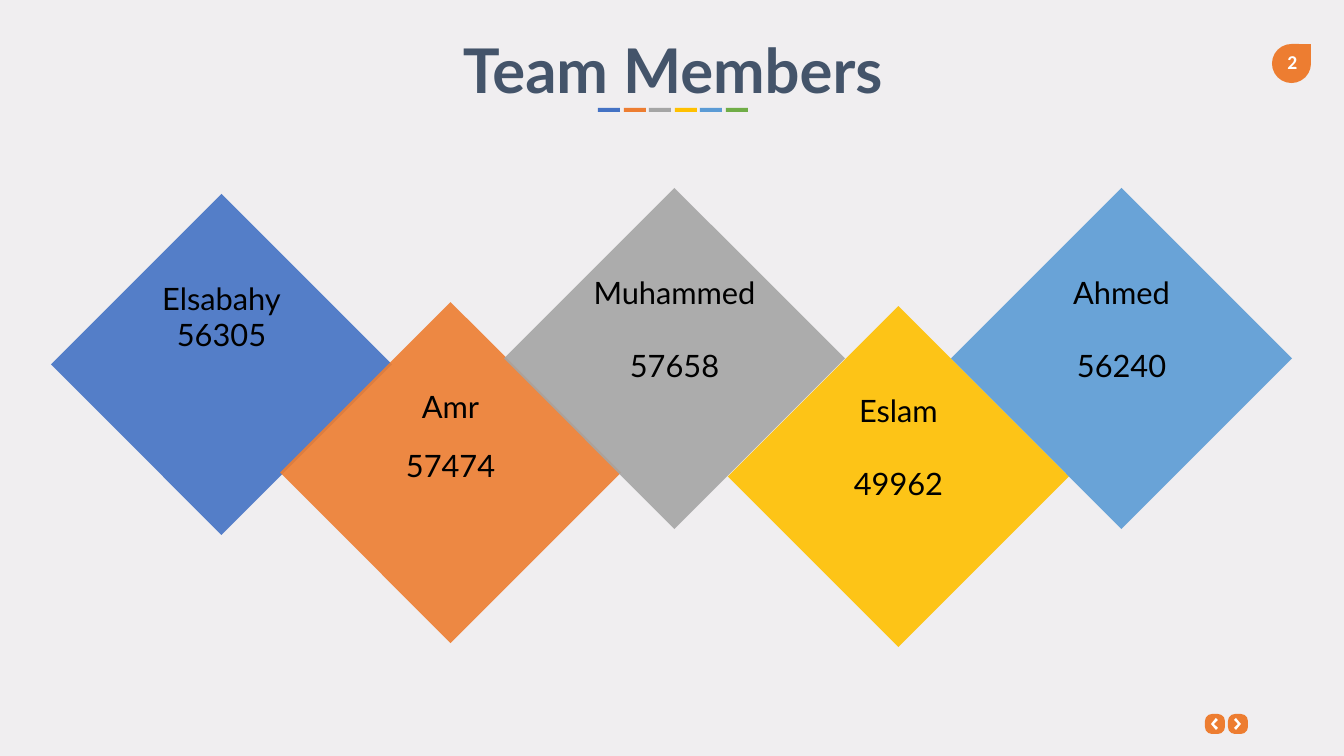
from lxml import etree
from pptx import Presentation
from pptx.dml.color import RGBColor
from pptx.enum.shapes import MSO_SHAPE
from pptx.enum.text import MSO_ANCHOR, MSO_AUTO_SIZE, PP_ALIGN
from pptx.oxml.ns import qn
from pptx.util import Pt

DIAMOND = MSO_SHAPE.DIAMOND
RECTANGLE = MSO_SHAPE.RECTANGLE
ROUNDED = MSO_SHAPE.ROUNDED_RECTANGLE
TEARDROP = MSO_SHAPE.TEAR
TOP = MSO_ANCHOR.TOP
CENTER = PP_ALIGN.CENTER
NO_AUTOFIT = MSO_AUTO_SIZE.NONE

PAGE_WIDTH, PAGE_HEIGHT = 1344, 756
SCALE = 12192000 / PAGE_WIDTH
TITLE_ONLY = 5

BACKGROUND = RGBColor(0xF0, 0xEE, 0xF0)
SLATE = RGBColor(0x44, 0x54, 0x6A)
BLACK = RGBColor(0x00, 0x00, 0x00)
WHITE = RGBColor(0xFF, 0xFF, 0xFF)
BLUE = RGBColor(0x44, 0x72, 0xC4)
ORANGE = RGBColor(0xED, 0x7D, 0x31)
GRAY = RGBColor(0xA5, 0xA5, 0xA5)
YELLOW = RGBColor(0xFF, 0xC0, 0x00)
SKY = RGBColor(0x5B, 0x9B, 0xD5)
GREEN = RGBColor(0x70, 0xAD, 0x47)
ACCENTS = [BLUE, ORANGE, GRAY, YELLOW, SKY, GREEN]

DIAMOND_SIZE = 341
MEMBERS = [
    ("Elsabahy", "56305", 51, 194, 0),
    ("Amr", "57474", 280, 302, 16),
    ("Muhammed", "57658", 504, 188, 26.4),
    ("Eslam", "49962", 728, 306, 26.4),
    ("Ahmed", "56240", 951, 188, 26.4),
]
CHEVRON_WIDTH = 7
CHEVRON = [(0, 6), (5, 0), (7, 2), (3, 6), (7, 10), (5, 12)]


def px(length):
    """Turn px into EMU."""
    return round(length * SCALE)


def paint(shape, color):
    """Give a shape a flat fill with no outline or shadow."""
    shape.shadow.inherit = False
    shape.fill.solid()
    shape.fill.fore_color.rgb = color
    shape.line.fill.background()


def add_flat(page, kind, box, color):
    """Add a flat preset shape in a px box."""
    shape = page.shapes.add_shape(kind, *map(px, box))
    paint(shape, color)
    return shape


def write(frame, lines, *, font, size, color, bold=False, gap=0, inset=(0, 0), wrap=True):
    """Write centred lines into a text frame, gap points apart."""
    frame.auto_size = NO_AUTOFIT
    frame.word_wrap = wrap
    frame.vertical_anchor = TOP
    frame.margin_left = frame.margin_right = px(inset[0])
    frame.margin_top = frame.margin_bottom = px(inset[1])
    for index, line in enumerate(lines):
        para = frame.add_paragraph() if index else frame.paragraphs[0]
        para.alignment = CENTER
        para.line_spacing = 1.0
        para.space_before = Pt(gap if index else 0)
        span = para.add_run()
        span.text = line
        span.font.name = font
        span.font.size = Pt(size)
        span.font.bold = bold
        span.font.color.rgb = color


def add_heading(page, left, top, width, height):
    """Place the title and the row of coloured dashes under it."""
    title = page.shapes.title
    title.left, title.top, title.width, title.height = map(px, (left, top, width, height))
    write(title.text_frame, ["Team Members"], font="Lato", size=44, color=SLATE,
          bold=True, inset=(10, 5))
    dash_width, dash_span = 22, 128
    start = left + (width - dash_span - dash_width) // 2
    for index, color in enumerate(ACCENTS):
        offset = round(index * dash_span / (len(ACCENTS) - 1))
        add_flat(page, RECTANGLE, (start + offset, top + 81, dash_width, 4), color)


def add_page_number(page, left, top, size):
    """Draw the teardrop badge with the page number."""
    add_flat(page, TEARDROP, (left, top, size, size), ORANGE)
    label = page.shapes.add_textbox(*map(px, (left - 1, top + 1, size + 4, size - 5)))
    write(label.text_frame, ["2"], font="Calibri", size=14, color=WHITE,
          bold=True, inset=(10, 5), wrap=False)


def add_navigation(page, left, top, size):
    """Draw the back and forward buttons."""
    for index in range(2):
        button_left = left + index * (size + 3)
        button = add_flat(page, ROUNDED, (button_left, top, size, size), ORANGE)
        button.adjustments[0] = 0.35
        points = [(button_left + 6 + (CHEVRON_WIDTH - x if index else x), top + 4 + y)
                  for x, y in CHEVRON]
        builder = page.shapes.build_freeform(*points[0], scale=SCALE)
        builder.add_line_segments(points[1:], close=True)
        paint(builder.convert_to_shape(), WHITE)


def add_member(page, left, top, name, number, gap, color):
    """Draw one translucent diamond with a member's name and number."""
    diamond = add_flat(page, DIAMOND, (left, top, DIAMOND_SIZE, DIAMOND_SIZE), color)
    fill_color = diamond.element.spPr.find(".//" + qn("a:srgbClr"))
    etree.SubElement(fill_color, qn("a:alpha"), val="90000")
    write(diamond.text_frame, [name, number], font="Lato", size=22, color=BLACK, gap=gap)


def main():
    """Build and save the team slide."""
    deck = Presentation()
    deck.slide_width, deck.slide_height = px(PAGE_WIDTH), px(PAGE_HEIGHT)
    page = deck.slides.add_slide(deck.slide_layouts[TITLE_ONLY])
    page.background.fill.solid()
    page.background.fill.fore_color.rgb = BACKGROUND
    add_navigation(page, 1205, 714, 20)
    add_page_number(page, 1272, 44, 39)
    add_heading(page, 96, 27, 1154, 85)
    for (name, number, left, top, gap), color in zip(MEMBERS, ACCENTS):
        add_member(page, left, top, name, number, gap, color)
    deck.save("out.pptx")


if __name__ == "__main__":
    main()
